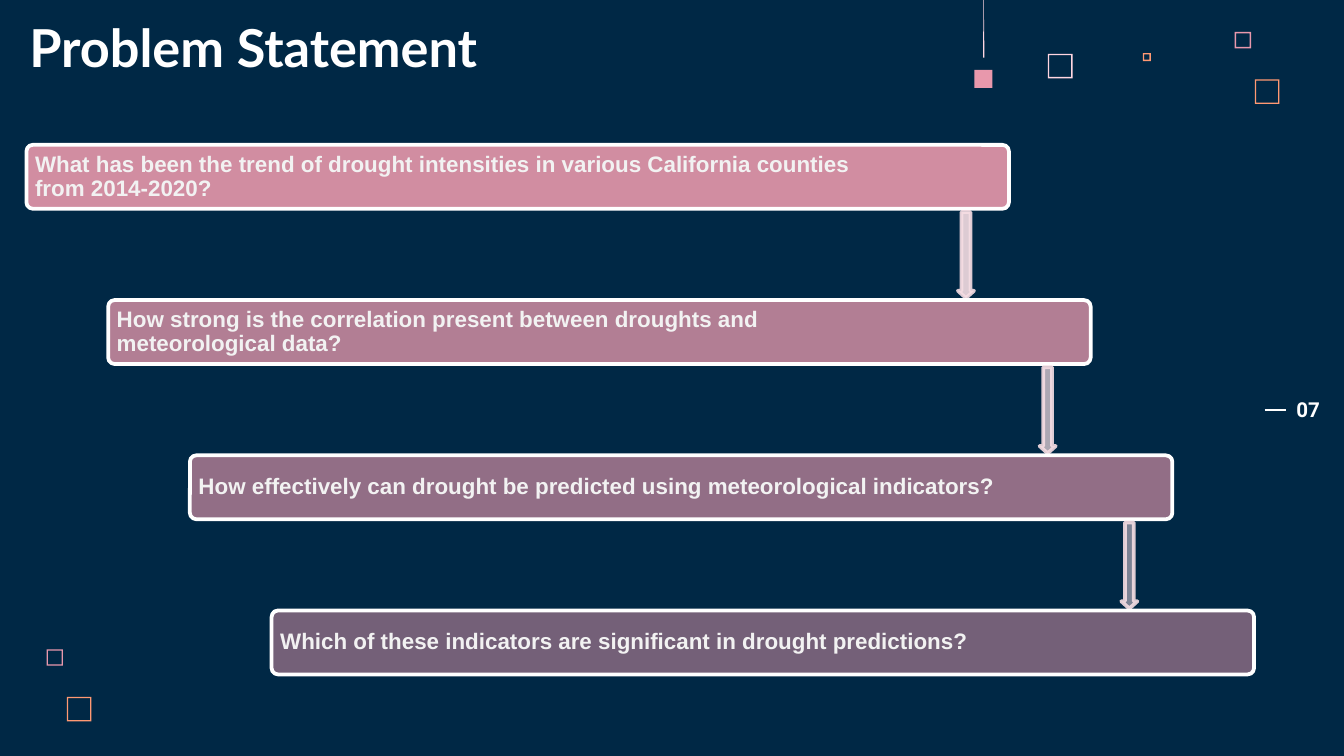
from lxml.etree import SubElement
from pptx import Presentation
from pptx.dml.color import RGBColor
from pptx.enum.shapes import MSO_CONNECTOR, MSO_SHAPE
from pptx.enum.text import MSO_ANCHOR, PP_ALIGN
from pptx.oxml.ns import qn
from pptx.util import Inches, Pt

prs = Presentation()
prs.slide_width, prs.slide_height = Inches(10), Inches(5.625)
s = prs.slides.add_slide(prs.slide_layouts[6])
COL = prs.slide_width / 100
ROW = prs.slide_height / 56.25


def paint(fmt, color, alpha=100):
    """Give a fill or line format a solid colour with alpha in percent."""
    fill = getattr(fmt, "fill", fmt)
    fill.solid()
    fill.fore_color.rgb = RGBColor.from_string(color)
    if alpha < 100:
        clr = fill._xPr.find(qn("a:solidFill"))[0]
        SubElement(clr, qn("a:alpha"), val=str(alpha * 1000))


def add(kind, x, y, w, h, text=None, inset=1, anchor=MSO_ANCHOR.MIDDLE, **font):
    """Add a shape, or a text box when kind is None, placed in columns and rows."""
    box = [round(v) for v in (x * COL, y * ROW, w * COL, h * ROW)]
    if kind is not None:
        sp = s.shapes.add_shape(kind, *box)
        sp.shadow.inherit = False
        return sp
    sp = s.shapes.add_textbox(*box)
    tf = sp.text_frame
    tf.word_wrap, tf.vertical_anchor = True, anchor
    for side in ("left", "right", "top", "bottom"):
        setattr(tf, f"margin_{side}", round(inset * COL))
    r = tf.paragraphs[0].add_run()
    r.text = text
    r.font.color.rgb = RGBColor.from_string(font.pop("color"))
    for name, value in font.items():
        setattr(r.font, name, value)
    return sp


paint(s.background, "002845")

# Decorative hollow squares: column, row, side, colour
for x, y, side, color in [
    (77.97, 4, 1.83, "FFD6E1"),
    (91.87, 2.38, 1.22, "E898AC"),
    (85.03, 3.95, 0.6, "FF9973"),
    (93.37, 5.9, 1.83, "FF9973"),
    (3.47, 48.32, 1.22, "E898AC"),
    (4.97, 51.85, 1.83, "FF9973"),
]:
    sp = add(MSO_SHAPE.FRAME, x, y, side, side)
    sp.adjustments[0] = 0.1 / side
    paint(sp.fill, color)
    sp.line.fill.background()

# Solid square hanging on a thread that widens downwards
sp = add(MSO_SHAPE.RECTANGLE, 72.5, 5.2, 1.35, 1.35)
paint(sp.fill, "E898AC")
sp.line.fill.background()
thread = s.shapes.build_freeform(round(73.17 * COL), 0)
thread.add_line_segments([(round(x * COL), round(y * ROW)) for x, y in
                          [(73.15, 4.3), (73.25, 4.3), (73.2, 0)]])
sp = thread.convert_to_shape()
sp.shadow.inherit = False
paint(sp.fill, "FFD6E1")
sp.line.fill.background()

# Page number with its dash
sp = add(None, 93.3, 28.9, 5.9, 3.1, "07", name="Roboto", size=Pt(11),
         bold=True, color="FFFFFF")
sp.text_frame.paragraphs[0].alignment = PP_ALIGN.RIGHT
dash = s.shapes.add_connector(
    MSO_CONNECTOR.STRAIGHT, round(94.1 * COL), round(30.5 * ROW),
    round(95.7 * COL), round(30.5 * ROW))
paint(dash.line, "FFFFFF")
dash.line.width = Pt(1.5)
SubElement(dash._element.spPr, qn("a:effectLst"))

add(None, 1.2, 1.3, 44.9, 5.5, "Problem Statement", anchor=MSO_ANCHOR.BOTTOM,
    name="Lato", size=Pt(28), bold=True, color="FFFFFF")

# Staircase of questions: text, text width, bar alpha, alpha of the arrow below
questions = [
    ("What has been the trend of drought intensities in various California "
     "counties from 2014-2020?", 62, 90, 90),
    ("How strong is the correlation present between droughts and "
     "meteorological data?", 60.3, 77, 70),
    ("How effectively can drought be predicted using meteorological "
     "indicators?", 60.4, 63, 50),
    ("Which of these indicators are significant in drought predictions?",
     60.3, 50, None),
]
for i, (question, width, bar_alpha, arrow_alpha) in enumerate(questions):
    x, y = 1.97 + 6.08 * i, 10.78 + 11.55 * i
    bar = add(MSO_SHAPE.ROUNDED_RECTANGLE, x, y, 73.1, 4.75)
    bar.adjustments[0] = 0.1
    paint(bar.fill, "E898AC", bar_alpha)
    paint(bar.line, "FFFFFF")
    bar.line.width = Pt(2)
    sp = add(None, x + 0.14, y + 0.14, width, 4.5, question, inset=0.5,
             name="Arial", size=Pt(12), bold=True, color="F2F2F2")
    sp.text_frame.paragraphs[0].line_spacing = 0.9
    if arrow_alpha:
        arrow = add(MSO_SHAPE.DOWN_ARROW, x + 69.3, y + 5, 1.2, 6.4)
        arrow.adjustments[0], arrow.adjustments[1] = 0.55, 0.45
        paint(arrow.fill, "F6DDE3", arrow_alpha)
        paint(arrow.line, "F6DDE3", 90)
        arrow.line.width = Pt(2)

prs.save("out.pptx")
